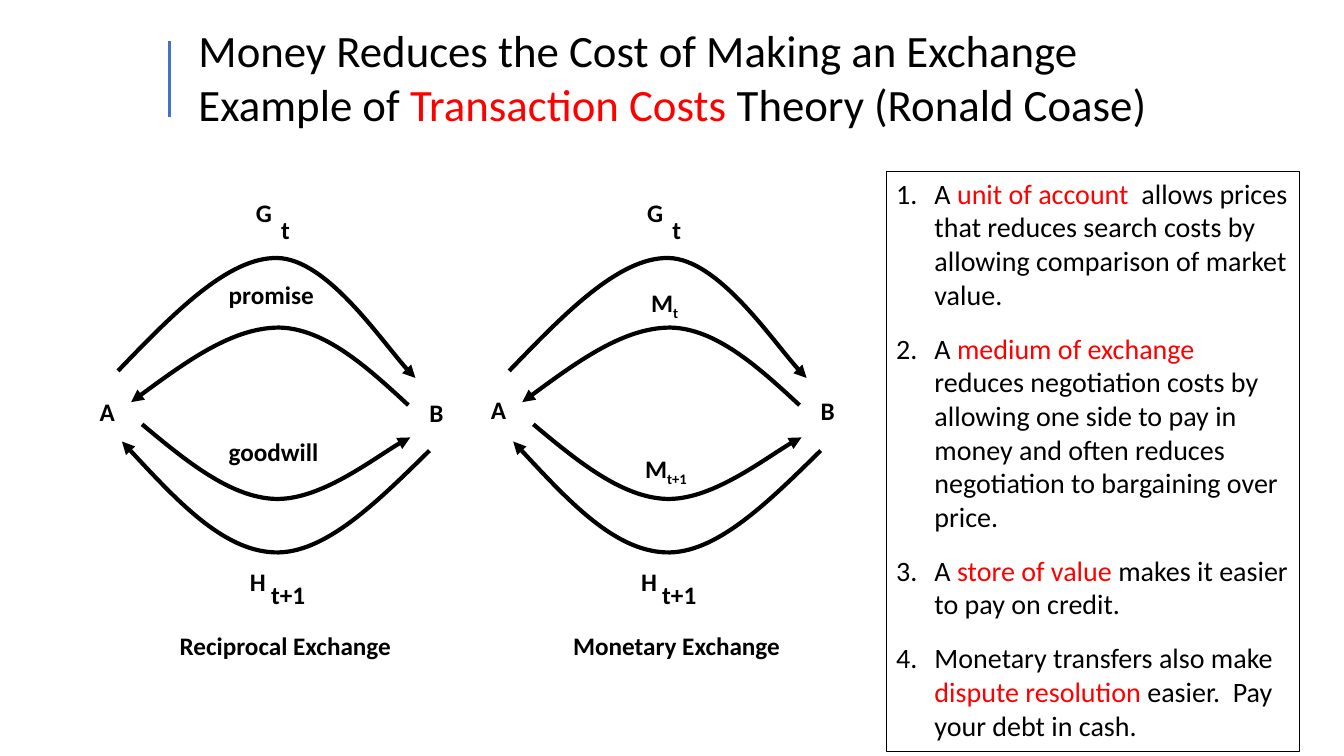
from pptx import Presentation
from pptx.dml.color import RGBColor
from pptx.enum.shapes import MSO_CONNECTOR, MSO_SHAPE
from pptx.enum.text import MSO_ANCHOR, PP_ALIGN
from pptx.oxml import parse_xml
from pptx.oxml.ns import nsdecls, qn
from pptx.util import Inches, Pt

BLACK, RED, BLUE = "000000", "FF0000", "4472C4"


def rgb(color):
    return RGBColor.from_string(color)


def element(tag, **attrs):
    el = parse_xml(f"<a:{tag} {nsdecls('a')}/>")
    for name, value in attrs.items():
        el.set(name, str(value))
    return el


def add_run(p, text, font="Calibri", size=18, color=BLACK, bold=False, baseline=0):
    r = p.add_run()
    r.text = text
    r.font.name, r.font.size, r.font.bold = font, Pt(size), bold
    r.font.color.rgb = rgb(color)
    if baseline:
        r.font._element.set("baseline", str(baseline))


class Canvas:
    """The current slide, the shapes being added to, and the shared style."""

    def __init__(self, slide, curve_width=3):
        self.slide = slide
        self.shapes = slide.shapes
        self.curve_width = Pt(curve_width)

    def group(self):
        self.shapes = self.slide.shapes.add_group_shape().shapes

    def text(self, x, y, w, h, paragraphs, wrap=False, align=PP_ALIGN.LEFT):
        """Each paragraph is a list of (text, format) runs."""
        s = self.shapes.add_textbox(Inches(x), Inches(y), Inches(w), Inches(h))
        tf = s.text_frame
        tf.word_wrap = wrap
        for i, runs in enumerate(paragraphs):
            p = tf.paragraphs[0] if i == 0 else tf.add_paragraph()
            p.alignment = align
            for text, fmt in runs:
                add_run(p, text, **fmt)

    def label(self, x, y, w, text, sub="", **kwargs):
        runs = [(text, {"bold": True})]
        if sub:
            runs.append((sub, {"bold": True, "baseline": -25000}))
        self.text(x, y, w, 0.4, [runs], **kwargs)

    def rule(self, x1, y1, x2, y2, color, width):
        s = self.shapes.add_connector(
            MSO_CONNECTOR.STRAIGHT, Inches(x1), Inches(y1), Inches(x2), Inches(y2))
        s.line.color.rgb = rgb(color)
        s.line.width = Pt(width)
        s._element.spPr.append(element("effectLst"))

    def curved_arrow(self, points, dx=0):
        """Start point, then three points for each Bezier segment."""
        pts = [(Inches(x + dx), Inches(y)) for x, y in points]
        builder = self.shapes.build_freeform(*pts[0])
        builder.add_line_segments(pts[1:], close=False)
        s = builder.convert_to_shape()
        s.shadow.inherit = False
        s.fill.background()
        s.line.color.rgb = rgb(BLACK)
        s.line.width = self.curve_width
        s.line._ln.append(element("tailEnd", type="triangle"))
        # Turn each three straight segments into one cubic segment
        lines = list(s._element.iter(qn("a:lnTo")))
        outline = lines[0].getparent()
        for i in range(0, len(lines), 3):
            cubic = element("cubicBezTo")
            for line in lines[i:i + 3]:
                cubic.append(line[0])
                outline.remove(line)
            outline.append(cubic)

    def numbered_box(self, x, y, w, h, items, size=20, indent=0.38, gap=14.6):
        s = self.shapes.add_shape(
            MSO_SHAPE.RECTANGLE, Inches(x), Inches(y), Inches(w), Inches(h))
        s.shadow.inherit = False
        s.fill.background()
        s.line.color.rgb = rgb(BLACK)
        s.line.width = Pt(0.75)
        tf = s.text_frame
        tf.word_wrap = True
        tf.vertical_anchor = MSO_ANCHOR.TOP
        for i, runs in enumerate(items):
            p = tf.paragraphs[0] if i == 0 else tf.add_paragraph()
            p.alignment = PP_ALIGN.LEFT
            p.space_before = Pt(gap if i else 0)
            pPr = p._p.get_or_add_pPr()
            pPr.set("marL", str(Inches(indent)))
            pPr.set("indent", str(-Inches(indent)))
            pPr.append(element("buFont", typeface="+mj-lt"))
            pPr.append(element("buAutoNum", type="arabicPeriod"))
            for text, color in runs:
                add_run(p, text, size=size, color=color)


# Curves of the left diagram: goods out, promise back, goodwill out, goods back
CURVES = [
    [(1.17, 3.68), (1.71, 3.12), (2.26, 2.55), (2.75, 2.56),
     (3.24, 2.57), (3.89, 3.54), (4.12, 3.75)],
    [(4.05, 4.02), (3.64, 3.64), (3.22, 3.26), (2.77, 3.25),
     (2.31, 3.25), (1.8, 3.62), (1.3, 3.99)],
    [(1.41, 4.21), (1.84, 4.57), (2.28, 4.93), (2.72, 4.95),
     (3.17, 4.97), (3.85, 4.44), (4.07, 4.34)],
    [(4.26, 4.47), (3.74, 4.98), (3.22, 5.5), (2.72, 5.48),
     (2.21, 5.46), (1.71, 4.92), (1.21, 4.38)],
]
# Labels shared by both diagrams: x, y, width, text
GOODS = [(2.44, 1.91, 0.6, "G"), (2.69, 2.08, 0.58, "t"),
         (2.38, 5.57, 0.54, "H"), (2.59, 5.7, 1.07, "t+1")]
TRADERS = [(0.89, 3.88, 0.35, "A"), (4.16, 3.89, 0.34, "B")]

# Caption, x offset, trader y offset, inner labels (x, y, width, text, subscript)
DIAGRAMS = [
    ("Reciprocal Exchange", 0, 0,
     [(2.17, 2.72, 1.05, "promise", ""), (2.17, 4.28, 1.1, "goodwill", "")]),
    ("Monetary Exchange", 3.88, -0.02,
     [(6.36, 2.8, 0.48, "M", "t"), (6.3, 4.45, 0.66, "M", "t+1")]),
]

BENEFITS = [
    [("A ", BLACK), ("unit of account", RED),
     ("  allows prices that reduces search costs by allowing comparison of "
      "market value.", BLACK)],
    [("A ", BLACK), ("medium of exchange ", RED),
     ("reduces negotiation costs by allowing one side to pay in money and often "
      "reduces negotiation to bargaining over price.", BLACK)],
    [("A ", BLACK), ("store of value ", RED),
     ("makes it easier to pay on credit.", BLACK)],
    [("Monetary transfers also make ", BLACK), ("dispute resolution", RED),
     (" easier.  Pay your debt in cash.", BLACK)],
]


def main():
    prs = Presentation()
    prs.slide_width, prs.slide_height = Inches(13.33), Inches(7.5)
    canvas = Canvas(prs.slides.add_slide(prs.slide_layouts[6]))

    # Title with its accent rule
    canvas.rule(1.68, 0.41, 1.68, 1.16, BLUE, 2.25)
    canvas.text(1.87, 0.18, 9.7, 1.18, [
        [("Money Reduces the Cost of Making an Exchange", {"size": 32})],
        [("Example of ", {"size": 32}),
         ("Transaction Costs", {"size": 32, "color": RED}),
         (" Theory (Ronald Coase)", {"size": 32})],
    ])

    # Numbered benefits of money
    canvas.numbered_box(8.79, 1.7, 4.1, 5.76, BENEFITS)

    # Exchange diagrams, one group each
    for caption, dx, trader_dy, inner_labels in DIAGRAMS:
        canvas.group()
        for curve in CURVES:
            canvas.curved_arrow(curve, dx)
        for x, y, w, text in GOODS:
            canvas.label(x + dx, y, w, text, wrap=True)
        for x, y, w, text in TRADERS:
            canvas.label(x + dx, y + trader_dy, w, text)
        for x, y, w, text, sub in inner_labels:
            canvas.label(x, y, w, text, sub)
        canvas.label(1.19 + dx, 6.2, 3.28, caption, wrap=True, align=PP_ALIGN.CENTER)

    prs.save("out.pptx")


if __name__ == "__main__":
    main()
